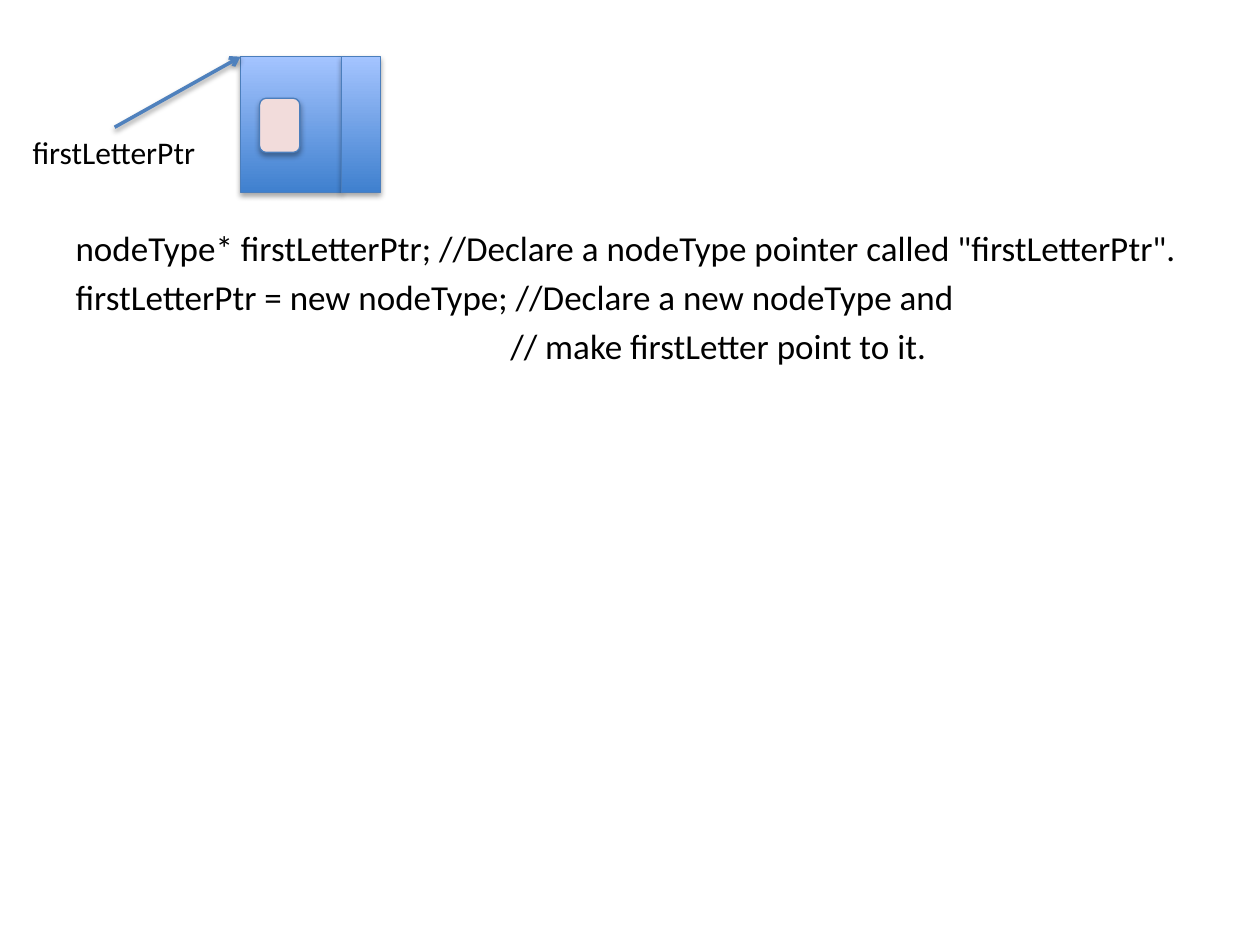
from dataclasses import dataclass

from lxml import etree
from pptx import Presentation
from pptx import util as u
from pptx.dml.color import RGBColor
from pptx.enum import shapes, text
from pptx.oxml.ns import qn


@dataclass(frozen=True)
class Theme:
    font: str = "Calibri"
    ink: str = "000000"
    node_dark: str = "3F80CE"
    node_light: str = "A4C4FF"
    node_edge: str = "4B7EBC"
    letter: str = "F2DCDB"
    arrow: str = "4F81BD"
    code_size: int = 20
    label_size: int = 18
    edge_width: float = 0.75
    arrow_width: float = 2


THEME = Theme()
WIDTH, HEIGHT = 10, 7.5

# Node geometry in inches: a data field beside a narrow link field
NODE_LEFT, NODE_TOP, NODE_HEIGHT = 1.91, 0.45, 1.08
DATA_WIDTH, LINK_WIDTH = 0.8, 0.31
LABEL_TOP = 1.01

# Each code line with its left margin and first-line indent
CODE = [
    ('nodeType* firstLetterPtr; //Declare a nodeType pointer called "firstLetterPtr".', 0.38, -0.38),
    ("firstLetterPtr = new nodeType; //Declare a new nodeType and", 0.38, -0.38),
    ("// make firstLetter point to it.", 3.45, 0),
]


def inches(*lengths):
    return [u.Inches(length) for length in lengths]


def write(para, words, size, color=THEME.ink, font=THEME.font):
    span = para.add_run()
    span.text = words
    span.font.size = u.Pt(size)
    span.font.name = font
    span.font.color.rgb = RGBColor.from_string(color)


def add_code(page):
    """Fill the body placeholder with unbulleted lines of code."""
    body = page.placeholders[1]
    body.left, body.top, body.width, body.height = inches(0.5, 1.75, WIDTH - 1, 4.95)
    frame = body.text_frame
    for index, (words, margin, indent) in enumerate(CODE):
        para = frame.add_paragraph() if index else frame.paragraphs[0]
        write(para, words, THEME.code_size)
        settings = para._p.get_or_add_pPr()
        settings.set("marL", str(u.Inches(margin)))
        settings.set("indent", str(u.Inches(indent)))
        etree.SubElement(settings, qn("a:buNone"))


def add_field(group, kind, place, color=None):
    """Add a part of the node; the theme's soft shadow is kept."""
    field = group.shapes.add_shape(kind, *inches(*place))
    if color:
        field.fill.solid()
        field.fill.fore_color.rgb = RGBColor.from_string(color)
    else:
        field.fill.gradient()
        field.fill.gradient_angle = 90
        for stop, shade, position in zip(
            field.fill.gradient_stops, (THEME.node_dark, THEME.node_light), (0, 1)
        ):
            stop.color.rgb = RGBColor.from_string(shade)
            stop.position = position
    field.line.color.rgb = RGBColor.from_string(THEME.node_edge)
    field.line.width = u.Pt(THEME.edge_width)


def add_node(page):
    group = page.shapes.add_group_shape()
    kinds = shapes.MSO_SHAPE
    add_field(group, kinds.RECTANGLE, (NODE_LEFT, NODE_TOP, DATA_WIDTH, NODE_HEIGHT))
    add_field(group, kinds.ROUNDED_RECTANGLE, (2.06, 0.78, 0.32, 0.43), THEME.letter)
    add_field(group, kinds.RECTANGLE,
              (NODE_LEFT + DATA_WIDTH, NODE_TOP, LINK_WIDTH, NODE_HEIGHT))


def add_label(page, words):
    box = page.shapes.add_textbox(*inches(0.16, LABEL_TOP, 1.51, 0.4))
    box.text_frame.word_wrap = False
    box.text_frame.auto_size = text.MSO_AUTO_SIZE.SHAPE_TO_FIT_TEXT
    write(box.text_frame.paragraphs[0], words, THEME.label_size)


def add_pointer(page, start, end):
    """Draw an arrow; the theme's soft shadow is kept."""
    arrow = page.shapes.add_connector(
        shapes.MSO_CONNECTOR.STRAIGHT, *inches(*start, *end))
    arrow.line.color.rgb = RGBColor.from_string(THEME.arrow)
    arrow.line.width = u.Pt(THEME.arrow_width)
    etree.SubElement(arrow.line._get_or_add_ln(), qn("a:tailEnd"), type="arrow")


def main():
    deck = Presentation()
    deck.slide_width, deck.slide_height = inches(WIDTH, HEIGHT)
    page = deck.slides.add_slide(deck.slide_layouts[1])
    title = page.shapes.title._element
    title.getparent().remove(title)

    # Code, then the node and the pointer to it
    add_code(page)
    add_node(page)
    add_label(page, "firstLetterPtr")
    add_pointer(page, (0.91, LABEL_TOP), (NODE_LEFT, NODE_TOP))
    deck.save("out.pptx")


if __name__ == "__main__":
    main()
